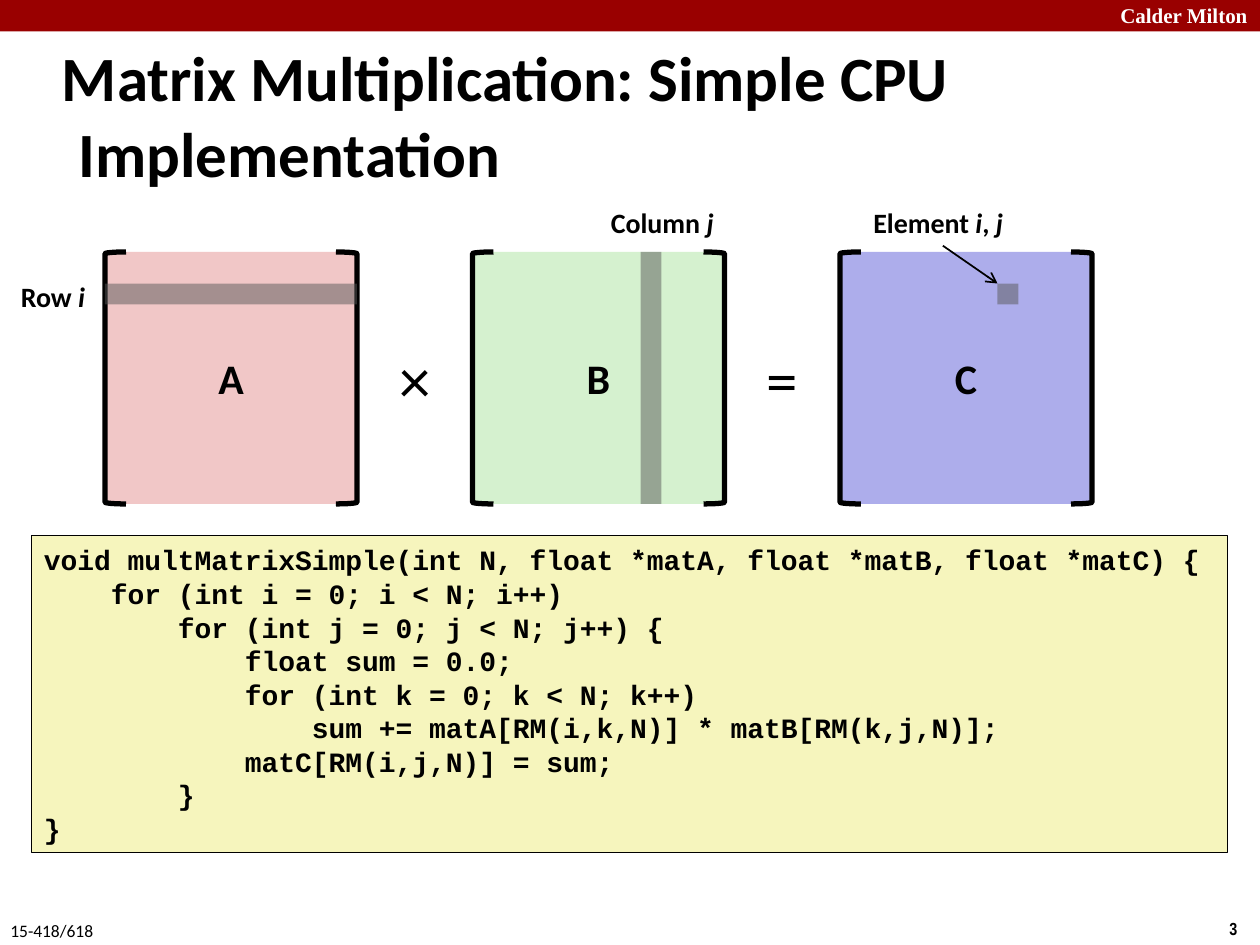
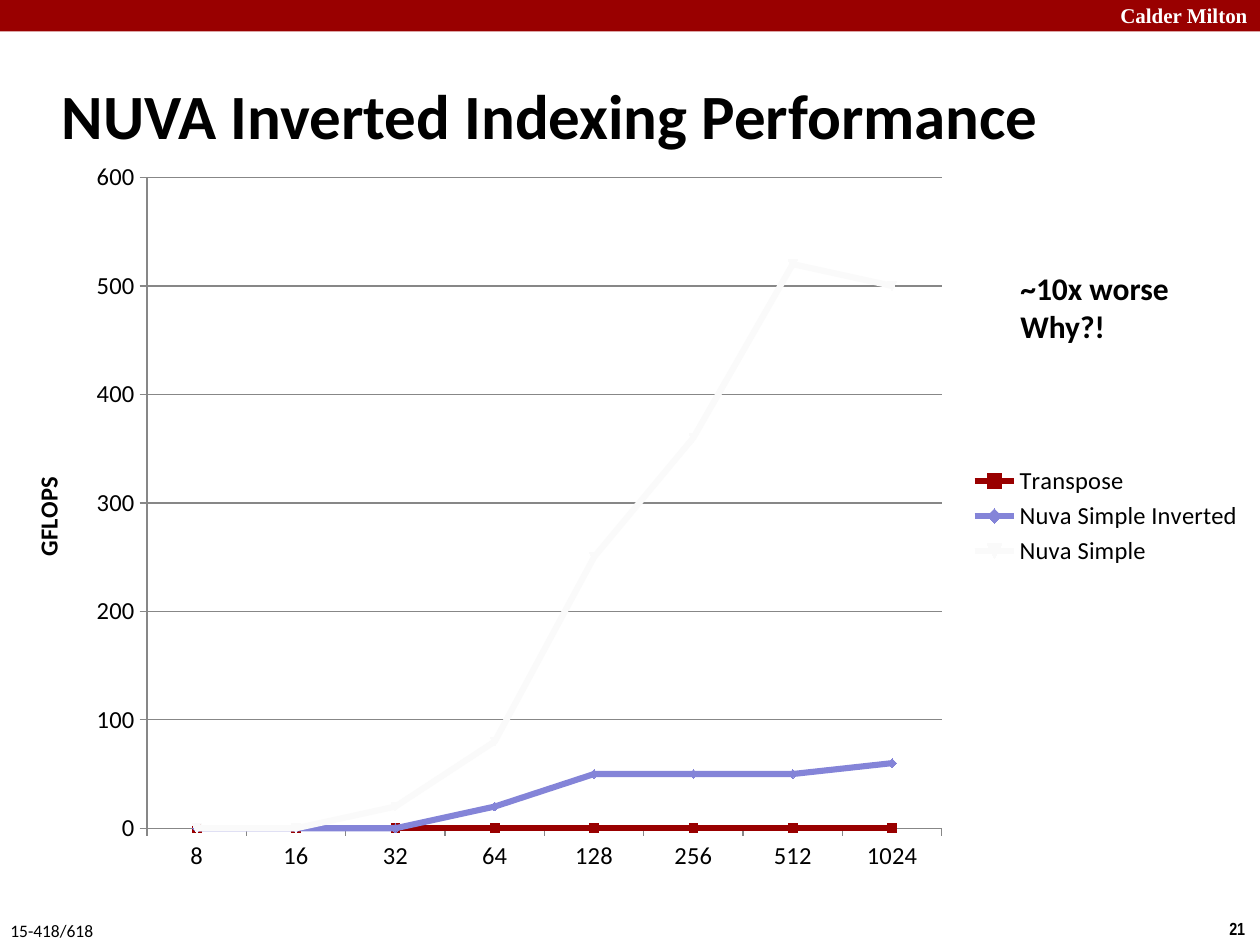
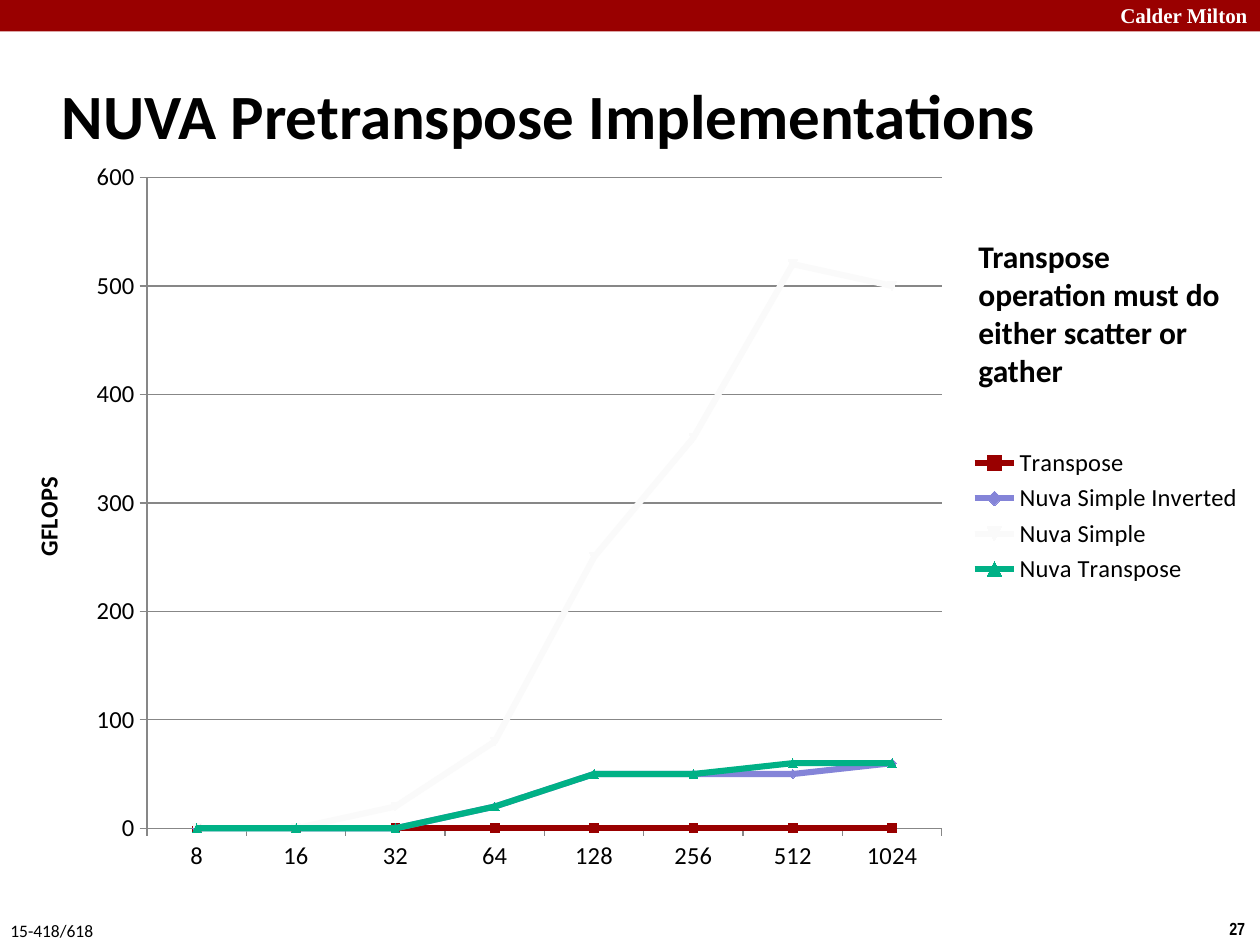
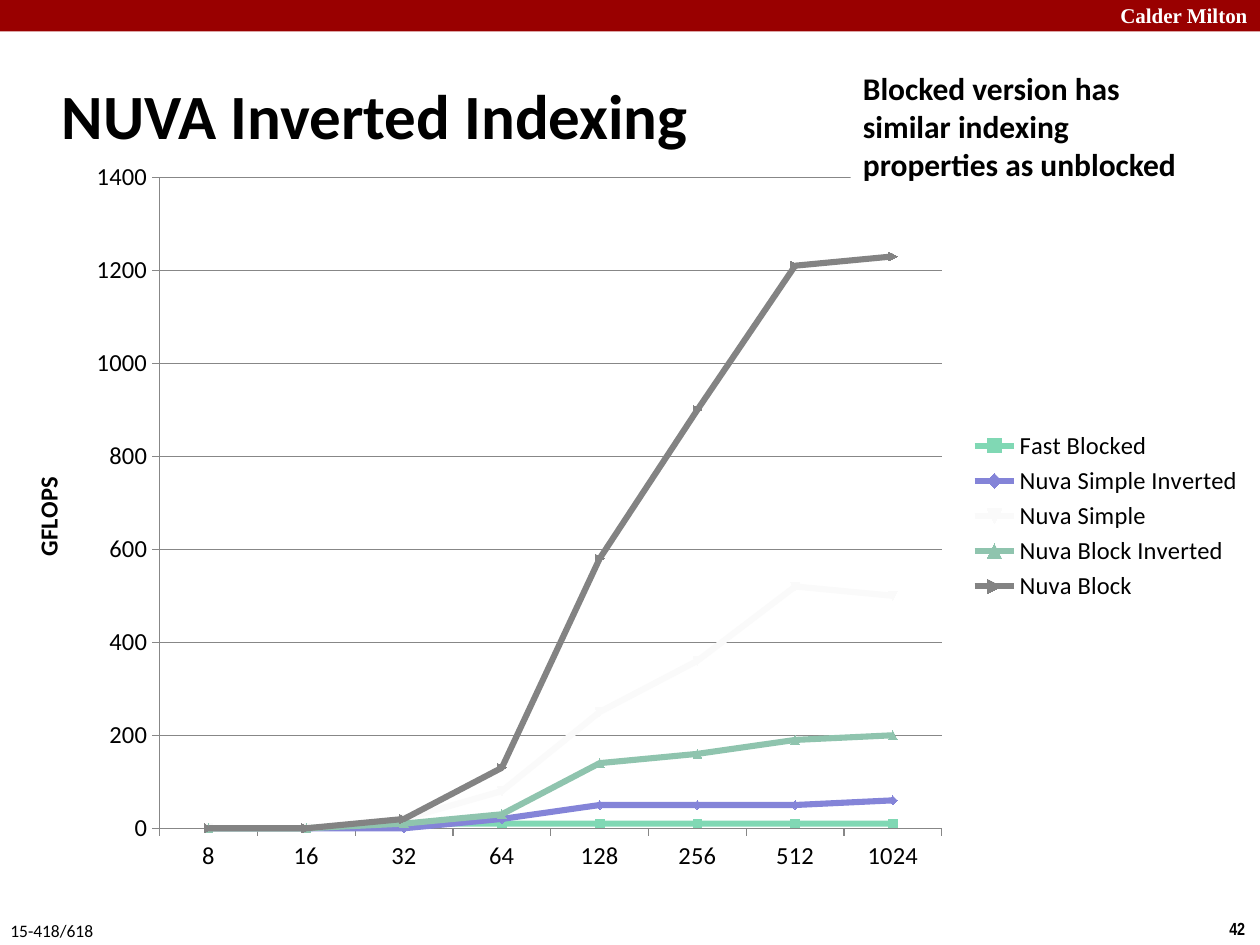
from lxml.etree import SubElement
from pptx import Presentation
from pptx.chart.data import CategoryChartData
from pptx.dml.color import RGBColor
from pptx.enum.chart import XL_CHART_TYPE, XL_LEGEND_POSITION, XL_TICK_MARK
from pptx.enum.shapes import MSO_CONNECTOR, MSO_SHAPE
from pptx.enum.text import MSO_ANCHOR, MSO_AUTO_SIZE, PP_ALIGN
from pptx.oxml.ns import qn
from pptx.util import Pt

EMU_PER_PX = 7620
PAGE_SIZE = (1200, 900)

BLACK = RGBColor(0x00, 0x00, 0x00)
WHITE = RGBColor(0xFF, 0xFF, 0xFF)
CRIMSON = RGBColor(0x99, 0x00, 0x00)
CREAM = RGBColor(0xF6, 0xF5, 0xBD)
PINK = RGBColor(0xF1, 0xC7, 0xC7)
PALE_GREEN = RGBColor(0xD5, 0xF1, 0xCF)
LAVENDER = RGBColor(0xAD, 0xAD, 0xEB)
SHADE = RGBColor(0x59, 0x59, 0x59)
GRID = RGBColor(0x87, 0x87, 0x87)
PERIWINKLE = RGBColor(0x84, 0x84, 0xD8)
OFF_WHITE = RGBColor(0xFA, 0xFA, 0xFA)
TEAL = RGBColor(0x00, 0xB1, 0x86)
MINT = RGBColor(0x80, 0xD8, 0xB4)
SAGE = RGBColor(0x8F, 0xC4, 0xAE)
GREY = RGBColor(0x83, 0x83, 0x83)

BODY_FONT = "Calibri"
CODE_FONT = "Courier New"
INSTITUTION = "Calder Milton"
COURSE = "15-418/618"

TITLE_BOX = (47, 59, 996, 100)
CHART_BOX = (4, 140, 1192, 703)
CODE_BOX = (30, 510, 1139, 302)
MATRICES_BOX = (100, 240, 940, 240)

CODE = """void multMatrixSimple(int N, float *matA, float *matB, float *matC) {
    for (int i = 0; i < N; i++)
        for (int j = 0; j < N; j++) {
            float sum = 0.0;
            for (int k = 0; k < N; k++)
                sum += matA[RM(i,k,N)] * matB[RM(k,j,N)];
            matC[RM(i,j,N)] = sum;
        }
}"""

SIZES = [8, 16, 32, 64, 128, 256, 512, 1024]
TRANSPOSE = ("Transpose", CRIMSON, [0, 0, 0, 0, 0, 0, 0, 0])
SIMPLE_INVERTED = ("Nuva Simple Inverted", PERIWINKLE, [0, 0, 0, 20, 50, 50, 50, 60])
SIMPLE = ("Nuva Simple", OFF_WHITE, [0, 0, 20, 80, 250, 360, 520, 500])
NUVA_TRANSPOSE = ("Nuva Transpose", TEAL, [0, 0, 0, 20, 50, 50, 60, 60])
FAST_BLOCKED = ("Fast Blocked", MINT, [0, 0, 10, 10, 10, 10, 10, 10])
BLOCK_INVERTED = ("Nuva Block Inverted", SAGE, [0, 0, 10, 30, 140, 160, 190, 200])
BLOCK = ("Nuva Block", GREY, [0, 0, 20, 130, 580, 900, 1210, 1230])


def px(*lengths):
    return [length * EMU_PER_PX for length in lengths]


def format_font(font, size, color=BLACK, bold=True, name=BODY_FONT):
    font.size, font.bold, font.name = Pt(size), bold, name
    font.color.rgb = color


def write(shape, text, size, align=PP_ALIGN.LEFT, anchor=MSO_ANCHOR.TOP, wrap=True, **font):
    frame = shape.text_frame
    frame.text = text
    frame.word_wrap = wrap
    frame.vertical_anchor = anchor
    for para in frame.paragraphs:
        para.alignment = align
        for span in para.runs:
            format_font(span.font, size, **font)


def add_label(page, box, text, size, **style):
    label = page.shapes.add_textbox(*px(*box))
    write(label, text, size, **style)
    return label


def add_block(page, box, fill=None, line=None, line_width=1, kind=MSO_SHAPE.RECTANGLE, opacity=100):
    block = page.shapes.add_shape(kind, *px(*box))
    block.shadow.inherit = False
    if fill is None:
        block.fill.background()
    else:
        block.fill.solid()
        block.fill.fore_color.rgb = fill
        if opacity < 100:
            color = block._element.spPr.find(".//" + qn("a:srgbClr"))
            SubElement(color, qn("a:alpha")).set("val", str(opacity * 1000))
    if line is None:
        block.line.fill.background()
    else:
        block.line.color.rgb = line
        block.line.width = Pt(line_width)
    return block


def add_page(deck, title, number):
    page = deck.slides.add_slide(deck.slide_layouts[5])
    add_block(page, (0, 0, PAGE_SIZE[0], 30), CRIMSON)
    add_label(page, (1000, -3, 200, 36), INSTITUTION, 12, align=PP_ALIGN.RIGHT,
              color=WHITE, name="Times New Roman")
    add_label(page, (1159, 868, 41, 32), str(number), 10, wrap=False, name="Arial Narrow")
    add_label(page, (-2, 870, 104, 32), COURSE, 10, wrap=False, bold=False)

    heading = page.shapes.title
    heading.left, heading.top, heading.width, heading.height = px(*TITLE_BOX)
    write(heading, title, 36, anchor=MSO_ANCHOR.MIDDLE)
    heading.text_frame.auto_size = MSO_AUTO_SIZE.NONE
    indent = 16 * EMU_PER_PX
    properties = heading.text_frame.paragraphs[0]._p.get_or_add_pPr()
    properties.set("marL", str(indent))
    properties.set("indent", str(-indent))
    return page


def add_matrix(page, box, name, fill):
    left, top, width, height = box
    bracket_width = 20
    matrix = add_block(page, box, fill)
    write(matrix, name, 24, align=PP_ALIGN.CENTER, anchor=MSO_ANCHOR.MIDDLE, wrap=False)
    for kind, x in ((MSO_SHAPE.LEFT_BRACKET, left),
                    (MSO_SHAPE.RIGHT_BRACKET, left + width - bracket_width)):
        add_block(page, (x, top, bracket_width, height), line=BLACK, line_width=3, kind=kind)


def add_index_label(page, box, pieces):
    label = add_label(page, box, "", 16, wrap=False)
    for position, piece in enumerate(pieces):
        span = label.text_frame.paragraphs[0].add_run()
        span.text = piece
        format_font(span.font, 16)
        span.font.italic = position % 2 == 1


def add_arrow(page, start, end):
    arrow = page.shapes.add_connector(MSO_CONNECTOR.STRAIGHT, *px(*start, *end))
    arrow.line.color.rgb = BLACK
    arrow.line.width = Pt(1)
    SubElement(arrow.line._get_or_add_ln(), qn("a:tailEnd")).set("type", "arrow")
    SubElement(arrow._element.spPr, qn("a:effectLst"))


def add_matrix_equation(page, box):
    left, top, width, side = box
    pitch = (width - side) // 2
    lefts = [left + pitch * index for index in range(3)]
    for x, name, fill in zip(lefts, "ABC", (PINK, PALE_GREEN, LAVENDER)):
        add_matrix(page, (x, top, side, side), name, fill)
    for x, sign in zip(lefts, "×="):
        add_label(page, (x + side, top, pitch - side, side), sign, 36,
                  align=PP_ALIGN.CENTER, anchor=MSO_ANCHOR.MIDDLE, bold=False)

    cell = 20
    row_top = top + 30
    column_left = lefts[1] + 160
    element_left = lefts[2] + 150
    for highlight in ((left, row_top, side, cell),
                      (column_left, top, cell, side),
                      (element_left, row_top, cell, cell)):
        add_block(page, highlight, SHADE, opacity=50)

    add_index_label(page, (left - 92, row_top - 10, 92, 44), ["Row ", "i"])
    add_index_label(page, (column_left - 40, top - 50, 128, 44), ["Column ", "j"])
    add_index_label(page, (lefts[2] + 20, top - 50, 155, 44), ["Element ", "i", ", ", "j"])
    add_arrow(page, (element_left - 52, top - 6), (element_left, row_top))


def add_code(page, box):
    panel = add_block(page, box, CREAM, BLACK)
    write(panel, CODE, 16, anchor=MSO_ANCHOR.MIDDLE, name=CODE_FONT)


def place_plot(chart, box, plot_left):
    _, _, width, height = box
    top, right, bottom = 29, 893, 649
    area = chart._chartSpace.chart.plotArea
    layout = area.find(qn("c:layout"))
    if layout is None:
        layout = SubElement(area, qn("c:layout"))
        area.insert(0, layout)
    manual = SubElement(layout, qn("c:manualLayout"))
    settings = {"layoutTarget": "inner", "xMode": "edge", "yMode": "edge",
                "x": plot_left / width, "y": top / height,
                "w": (right - plot_left) / width, "h": (bottom - top) / height}
    for tag, value in settings.items():
        SubElement(manual, qn("c:" + tag)).set("val", str(value))


def format_axes(chart, top_value, step):
    values, sizes = chart.value_axis, chart.category_axis
    values.minimum_scale, values.maximum_scale, values.major_unit = 0, top_value, step
    values.has_major_gridlines = True
    for axis in (values, sizes):
        axis.major_tick_mark = XL_TICK_MARK.OUTSIDE
        axis.minor_tick_mark = XL_TICK_MARK.NONE
        format_font(axis.tick_labels.font, 14, bold=False)
    for rule in (values, sizes, values.major_gridlines):
        rule.format.line.color.rgb = GRID
        rule.format.line.width = Pt(0.75)
    title = values.axis_title.text_frame
    title.text = "GFLOPS"
    format_font(title.paragraphs[0].runs[0].font, 14)


def add_performance_chart(page, box, series, top_value, step, plot_left):
    data = CategoryChartData()
    data.categories = SIZES
    for name, _, values in series:
        data.add_series(name, values)
    chart = page.shapes.add_chart(XL_CHART_TYPE.LINE_MARKERS, *px(*box), data).chart
    chart.has_title = False
    format_font(chart.font, 14, bold=False)
    chart.has_legend = True
    chart.legend.position = XL_LEGEND_POSITION.RIGHT
    chart.legend.include_in_layout = False
    format_font(chart.legend.font, 14, bold=False)
    chart.plots[0].vary_by_categories = False
    for line, (_, color, _) in zip(chart.plots[0].series, series):
        line.smooth = False
        line.format.line.color.rgb = color
        line.format.line.width = Pt(3.5)
        line.marker.size = 5
        line.marker.format.fill.solid()
        line.marker.format.fill.fore_color.rgb = color
        line.marker.format.line.color.rgb = color
    format_axes(chart, top_value, step)
    place_plot(chart, box, plot_left)


def add_matrix_page(deck):
    page = add_page(deck, "Matrix Multiplication: Simple CPU Implementation", 3)
    add_code(page, CODE_BOX)
    add_matrix_equation(page, MATRICES_BOX)


def add_chart_page(deck, title, number, series, note, note_box, note_fill=None,
                   top_value=600, step=100, plot_left=136):
    page = add_page(deck, title, number)
    add_performance_chart(page, CHART_BOX, series, top_value, step, plot_left)
    if note_fill is None:
        add_label(page, note_box, note, 18)
    else:
        write(add_block(page, note_box, note_fill), note, 18)


def main():
    deck = Presentation()
    deck.slide_width, deck.slide_height = px(*PAGE_SIZE)
    add_matrix_page(deck)
    add_chart_page(deck, "NUVA Inverted Indexing Performance", 21,
                   [TRANSPOSE, SIMPLE_INVERTED, SIMPLE],
                   "~10x worse\nWhy?!", (960, 250, 168, 85))
    add_chart_page(deck, "NUVA Pretranspose Implementations", 27,
                   [TRANSPOSE, SIMPLE_INVERTED, SIMPLE, NUVA_TRANSPOSE],
                   "Transpose operation must do either scatter or gather",
                   (920, 220, 260, 157))
    add_chart_page(deck, "NUVA Inverted Indexing", 42,
                   [FAST_BLOCKED, SIMPLE_INVERTED, SIMPLE, BLOCK_INVERTED, BLOCK],
                   "Blocked version has similar indexing properties as unblocked",
                   (810, 60, 335, 121), note_fill=WHITE,
                   top_value=1400, step=200, plot_left=148)
    deck.save("out.pptx")


if __name__ == "__main__":
    main()
